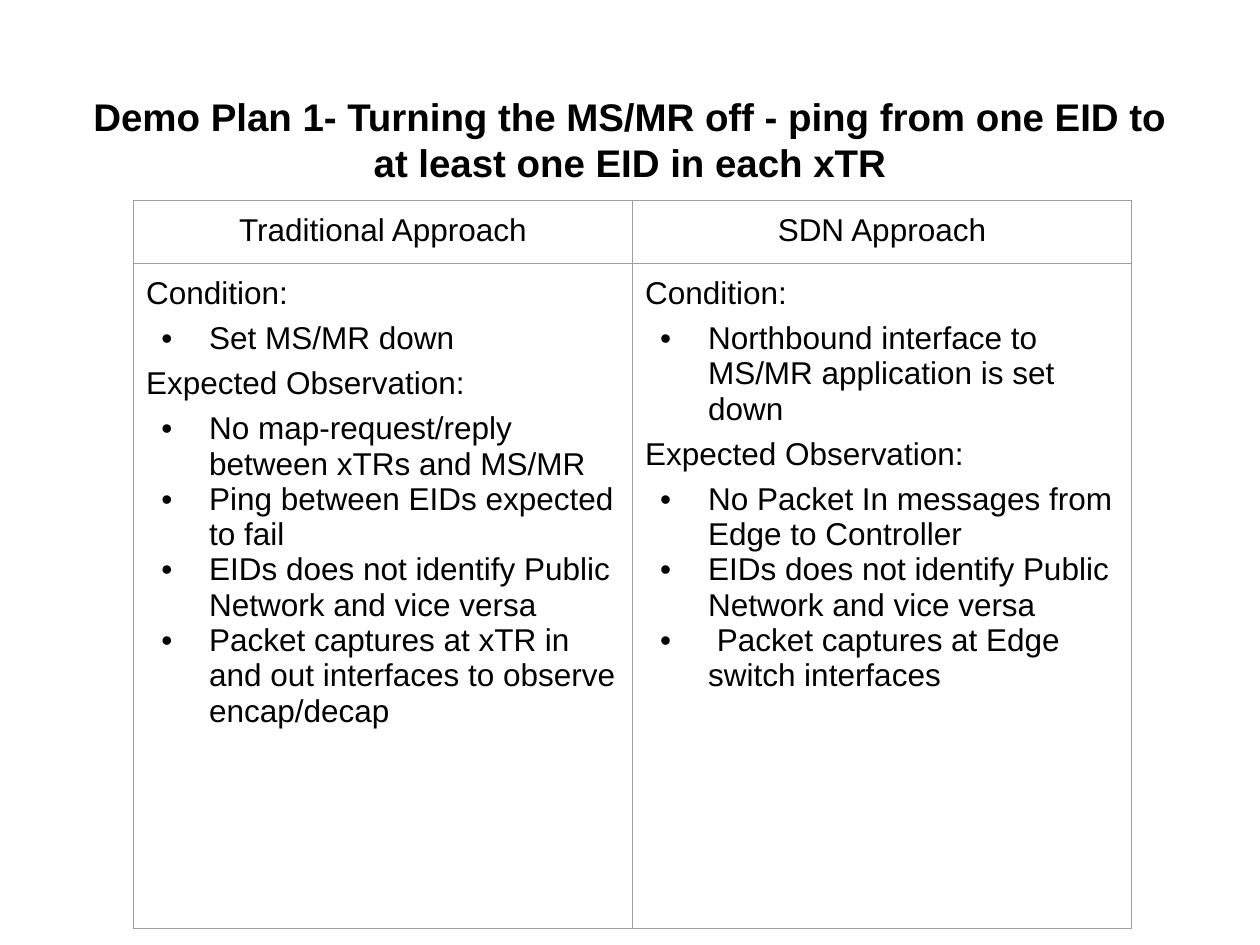
"""Build the demo plan slide comparing the traditional and SDN approaches."""
from lxml import etree
from pptx import Presentation
from pptx.dml.color import RGBColor
from pptx.enum.text import MSO_ANCHOR, PP_ALIGN
from pptx.oxml.ns import qn
from pptx.util import Inches, Pt

CENTER, LEFT, MIDDLE = PP_ALIGN.CENTER, PP_ALIGN.LEFT, MSO_ANCHOR.MIDDLE
THEME = {"font": "Arial", "text": "000000", "border": "9E9E9E",
         "title": 22, "body": 18, "gap": 5.6, "border_width": 0.75}
INSET = Inches(0.1)


def write(p, text, size, align=LEFT, bold=False):
    p.text = text
    p.alignment = align
    font = p.runs[0].font
    font.name, font.size, font.bold = THEME["font"], Pt(size), bold
    font.color.rgb = RGBColor.from_string(THEME["text"])


def add_color(parent, color):
    etree.SubElement(parent, qn("a:srgbClr")).set("val", color)


approaches = [
    ("Traditional Approach",
     [("Condition:", ["Set MS/MR down"]),
      ("Expected Observation:",
       ["No map-request/reply between xTRs and MS/MR",
        "Ping between EIDs expected to fail",
        "EIDs does not identify Public Network and vice versa",
        "Packet captures at xTR in and out interfaces to observe encap/decap"])]),
    ("SDN Approach",
     [("Condition:", ["Northbound interface to MS/MR application is set down"]),
      ("Expected Observation:",
       ["No Packet In messages from Edge to Controller",
        "EIDs does not identify Public Network and vice versa",
        " Packet captures at Edge switch interfaces"])]),
]

prs = Presentation()
prs.slide_width, prs.slide_height = Inches(10), Inches(7.5)
s = prs.slides.add_slide(prs.slide_layouts[6])

title = s.shapes.add_textbox(Inches(0.5), Inches(0.52), Inches(9), Inches(1.17))
tf = title.text_frame
tf.word_wrap = True
tf.vertical_anchor = MIDDLE
tf.margin_left = tf.margin_right = tf.margin_top = tf.margin_bottom = INSET
write(tf.paragraphs[0],
      "Demo Plan 1- Turning the MS/MR off - ping from one EID to at least one EID in each xTR",
      THEME["title"], CENTER, True)

table = s.shapes.add_table(2, len(approaches), Inches(1.06), Inches(1.59),
                           Inches(7.92), Inches(5.69)).table
table.first_row = table.horz_banding = False
table.rows[0].height, table.rows[1].height = Inches(0.41), Inches(5.28)

for col, (heading, sections) in enumerate(approaches):
    table.columns[col].width = Inches(3.96)
    write(table.cell(0, col).text_frame.paragraphs[0], heading, THEME["body"], CENTER)

    tf = table.cell(1, col).text_frame
    lines = []
    for label, points in sections:
        lines.append((label, False, True))
        lines += [(point, True, i == 0) for i, point in enumerate(points)]
    for i, (text, bulleted, spaced) in enumerate(lines):
        p = tf.add_paragraph() if i else tf.paragraphs[0]
        write(p, text, THEME["body"])
        p.space_before = Pt(THEME["gap"] if spaced else 0)
        if bulleted:
            pPr = p._p.get_or_add_pPr()
            pPr.set("marL", str(Inches(0.5)))
            pPr.set("indent", str(Inches(-0.38)))
            add_color(etree.SubElement(pPr, qn("a:buClr")), THEME["text"])
            etree.SubElement(pPr, qn("a:buFont")).set("typeface", THEME["font"])
            etree.SubElement(pPr, qn("a:buChar")).set("char", "•")

for cell in table.iter_cells():
    cell.margin_left = cell.margin_right = cell.margin_top = cell.margin_bottom = INSET
    tcPr = cell._tc.get_or_add_tcPr()
    for side in ("lnL", "lnR", "lnT", "lnB"):
        ln = etree.SubElement(tcPr, qn("a:" + side))
        ln.set("w", str(Pt(THEME["border_width"])))
        add_color(etree.SubElement(ln, qn("a:solidFill")), THEME["border"])
    cell.fill.background()

prs.save("out.pptx")
